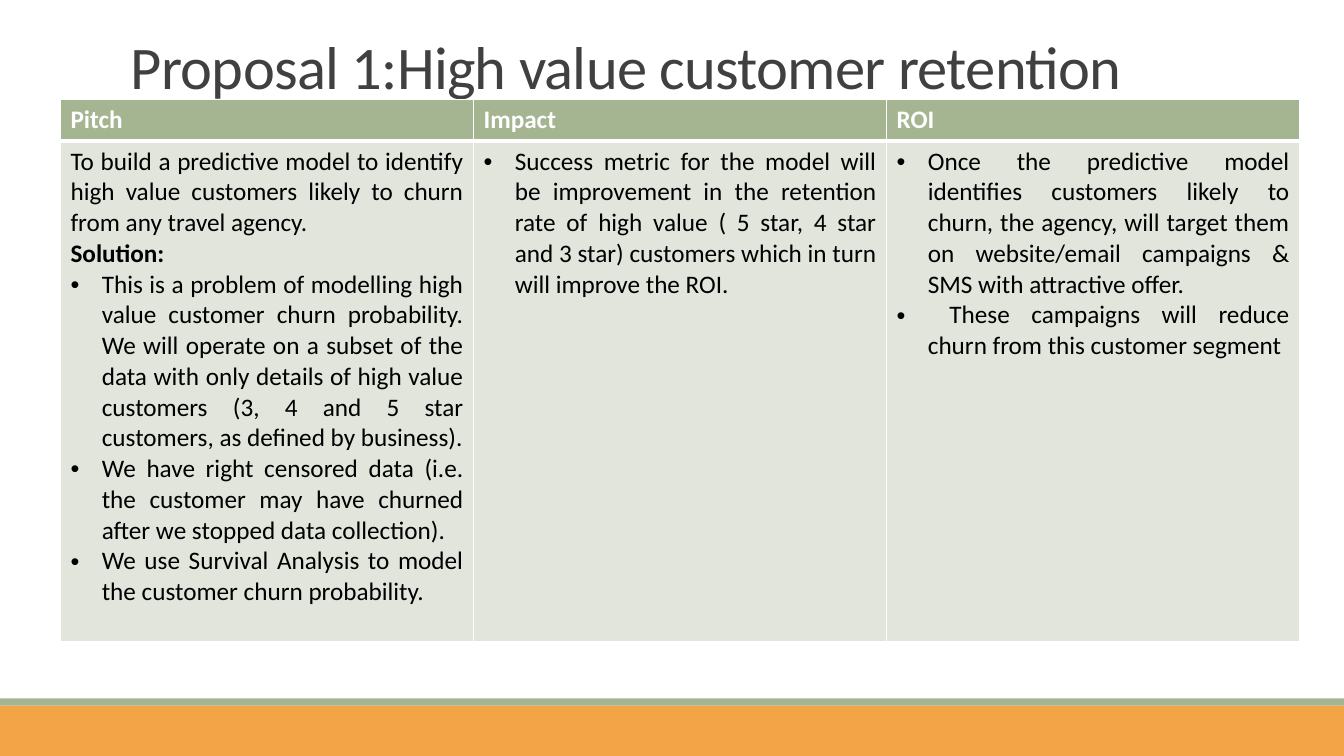
from lxml.etree import SubElement
from pptx import Presentation
from pptx.dml.color import RGBColor
from pptx.enum.shapes import MSO_SHAPE
from pptx.enum.text import MSO_ANCHOR, PP_ALIGN
from pptx.oxml.ns import qn
from pptx.util import Inches, Pt

GREEN, ORANGE, PALE, WHITE = "A5B592", "F3A447", "E1E5DC", "FFFFFF"
INDENT = Inches(0.31)

# Column head, then paragraphs as (style, text)
COLUMNS = [
    ("Pitch", [
        ("plain", "To build a predictive model to identify high value customers "
                  "likely to churn from any travel agency."),
        ("bold", "Solution:"),
        ("bullet", "This is a problem of modelling high value customer churn "
                   "probability. We will operate on a subset of the data with only "
                   "details of high value customers (3, 4 and 5 star customers, "
                   "as defined by business)."),
        ("bullet", "We have right censored data (i.e. the customer may have churned "
                   "after we stopped data collection)."),
        ("bullet", "We use Survival Analysis to model the customer churn probability."),
    ]),
    ("Impact", [
        ("bullet", "Success metric for the model will be improvement in the retention "
                   "rate of high value ( 5 star, 4 star and 3 star) customers which "
                   "in turn will improve the ROI."),
    ]),
    ("ROI", [
        ("bullet", "Once the predictive model identifies customers likely to churn, "
                   "the agency, will target them on website/email campaigns & SMS "
                   "with attractive offer."),
        ("bullet", " These campaigns will reduce churn from this customer segment"),
    ]),
]


def color(code):
    return RGBColor.from_string(code)


def apply(item, **values):
    for name, value in values.items():
        setattr(item, name, value)


def write(para, text, size, code, bold=False):
    run = para.add_run()
    run.text = text
    apply(run.font, name="Calibri", size=Pt(size), bold=bold)
    run.font.color.rgb = color(code)
    return run


def add_bullet(para):
    props = para._p.get_or_add_pPr()
    props.set("marL", str(INDENT))
    props.set("indent", str(-INDENT))
    SubElement(props, qn("a:buFont")).set("typeface", "Arial")
    SubElement(props, qn("a:buChar")).set("char", "•")


def add_band(slide, left, top, width, height, code):
    band = slide.shapes.add_shape(MSO_SHAPE.RECTANGLE, left, top, width, height)
    band.shadow.inherit = False
    band.fill.solid()
    band.fill.fore_color.rgb = color(code)
    band.line.fill.background()


def add_footer(slide, left, top, width, height):
    strip = Inches(0.07)
    add_band(slide, left, top + strip, width, height - strip, ORANGE)
    add_band(slide, left, top, width, strip, GREEN)


def add_title(slide, left, top, width, height, text):
    frame = slide.shapes.add_textbox(left, top, width, height).text_frame
    apply(frame, word_wrap=True, vertical_anchor=MSO_ANCHOR.BOTTOM)
    para = frame.paragraphs[0]
    para.line_spacing = 0.85
    run = write(para, text, 43.2, "404040")
    run.font._element.set("spc", "-50")


def style_cell(cell, code, edges):
    # Borders precede the fill in the cell properties
    props = cell._tc.get_or_add_tcPr()
    for side, width in edges.items():
        edge = SubElement(props, qn(f"a:ln{side}"), w=str(Pt(width)))
        paint = SubElement(edge, qn("a:solidFill"))
        SubElement(paint, qn("a:srgbClr")).set("val", WHITE)
    cell.fill.solid()
    cell.fill.fore_color.rgb = color(code)


def fill_cell(cell, items, code):
    frame = cell.text_frame
    for i, (style, text) in enumerate(items):
        para = frame.add_paragraph() if i else frame.paragraphs[0]
        para.alignment = PP_ALIGN.JUSTIFY
        if style == "bullet":
            add_bullet(para)
        write(para, text, 18, code, style == "bold")


def add_grid(slide, left, top, width, height):
    grid = slide.shapes.add_table(2, len(COLUMNS), left, top, width, height).table
    head = Inches(0.41)
    grid.rows[0].height, grid.rows[1].height = head, height - head
    for i, (name, items) in enumerate(COLUMNS):
        grid.columns[i].width = width // len(COLUMNS)
        style_cell(grid.cell(0, i), GREEN, {"L": 1, "R": 1, "T": 1, "B": 3})
        fill_cell(grid.cell(0, i), [("bold", name)], WHITE)
        style_cell(grid.cell(1, i), PALE, {"L": 1, "R": 1, "T": 3, "B": 1})
        fill_cell(grid.cell(1, i), items, "000000")


def main():
    deck = Presentation()
    apply(deck, slide_width=Inches(13.33), slide_height=Inches(7.5))
    slide = deck.slides.add_slide(deck.slide_layouts[6])
    add_footer(slide, 0, Inches(6.93), deck.slide_width, Inches(0.57))
    add_title(slide, Inches(1.2), Inches(0.31), Inches(11), Inches(0.75),
              "Proposal 1:High value customer retention")
    add_grid(slide, Inches(0.6), Inches(0.99), Inches(12.29), Inches(5.38))
    deck.save("out.pptx")


if __name__ == "__main__":
    main()
